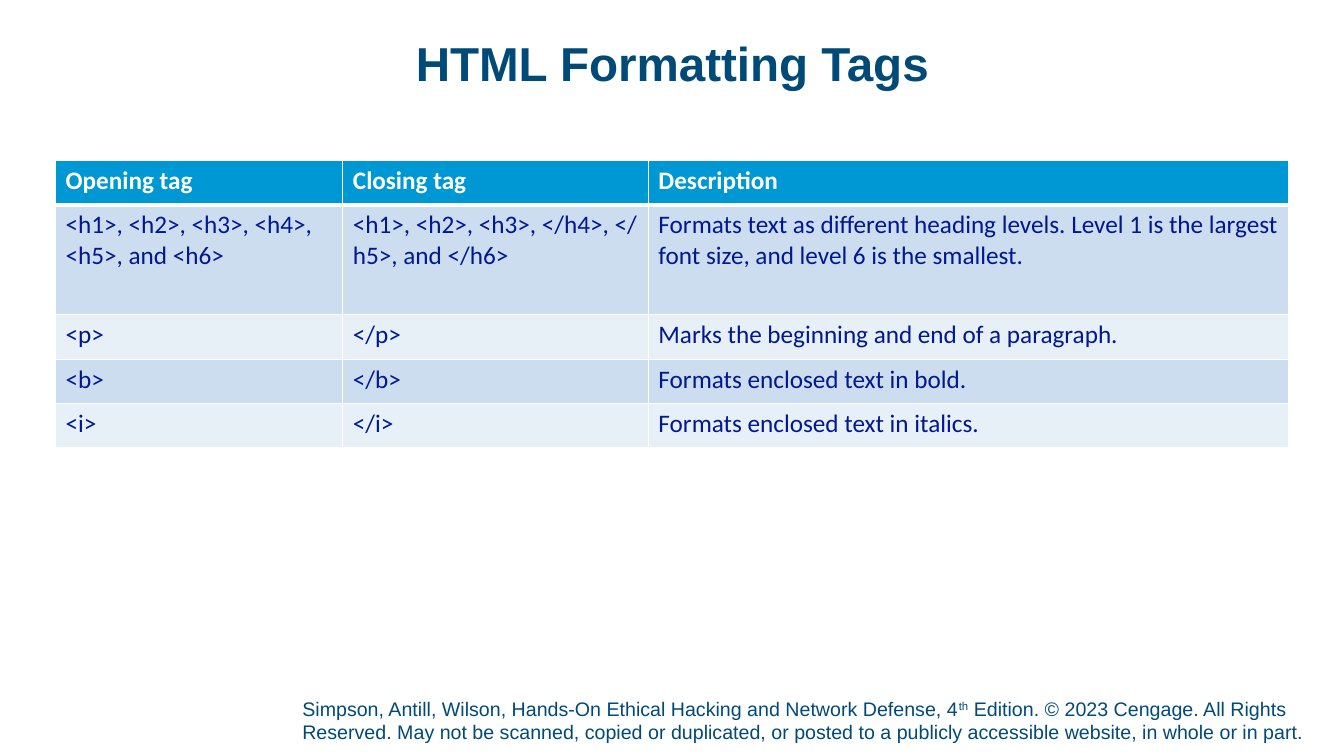
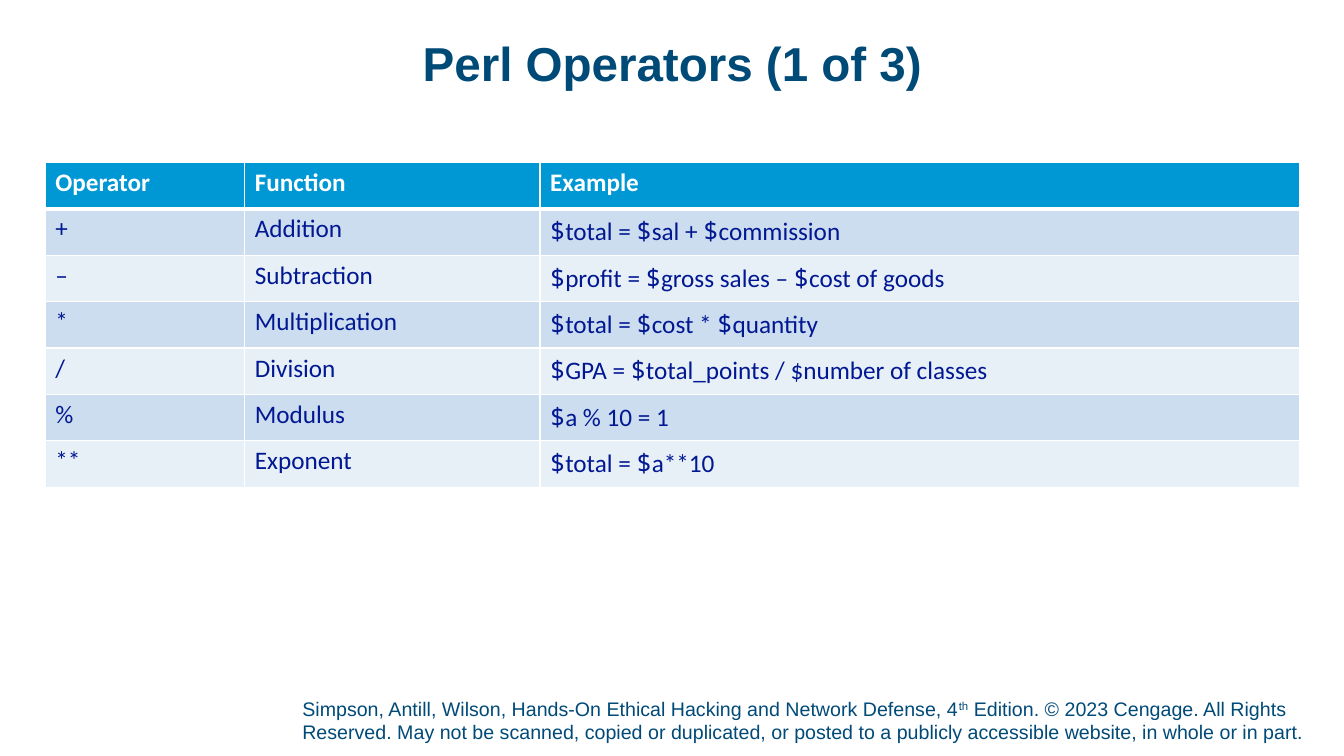
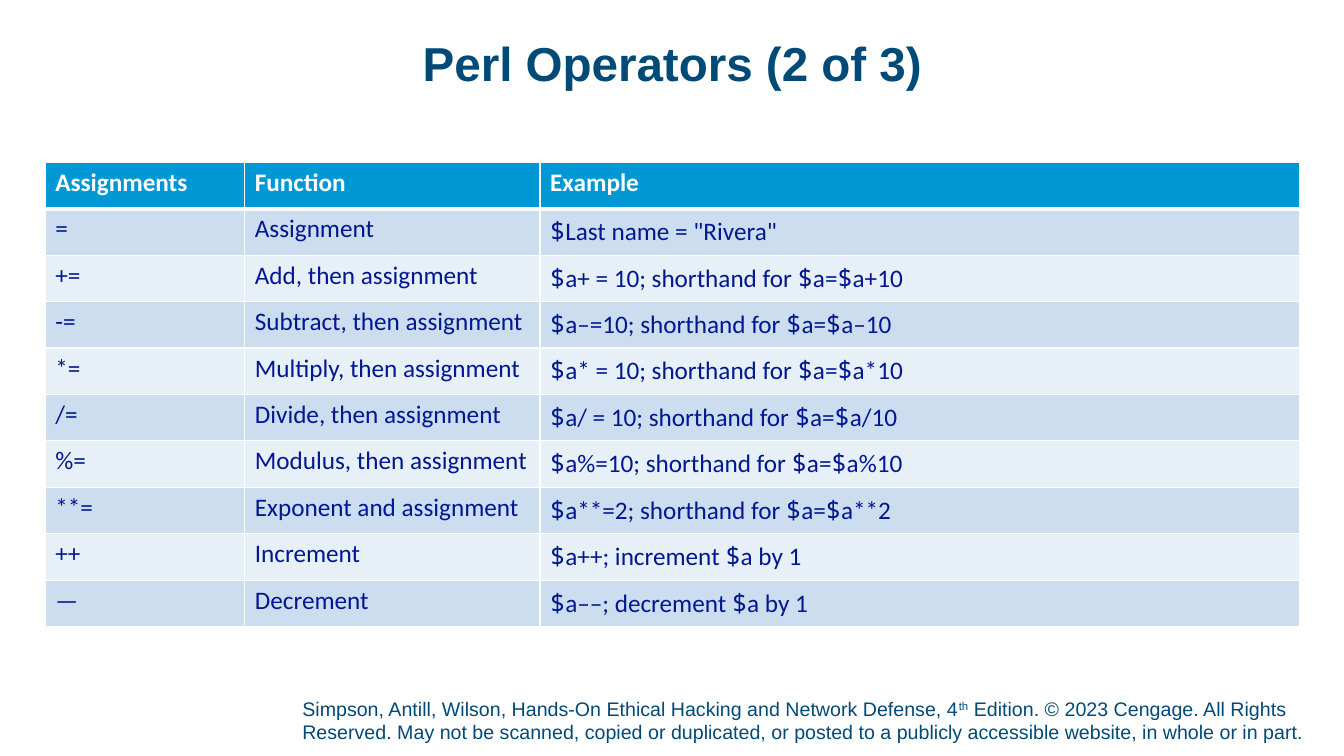
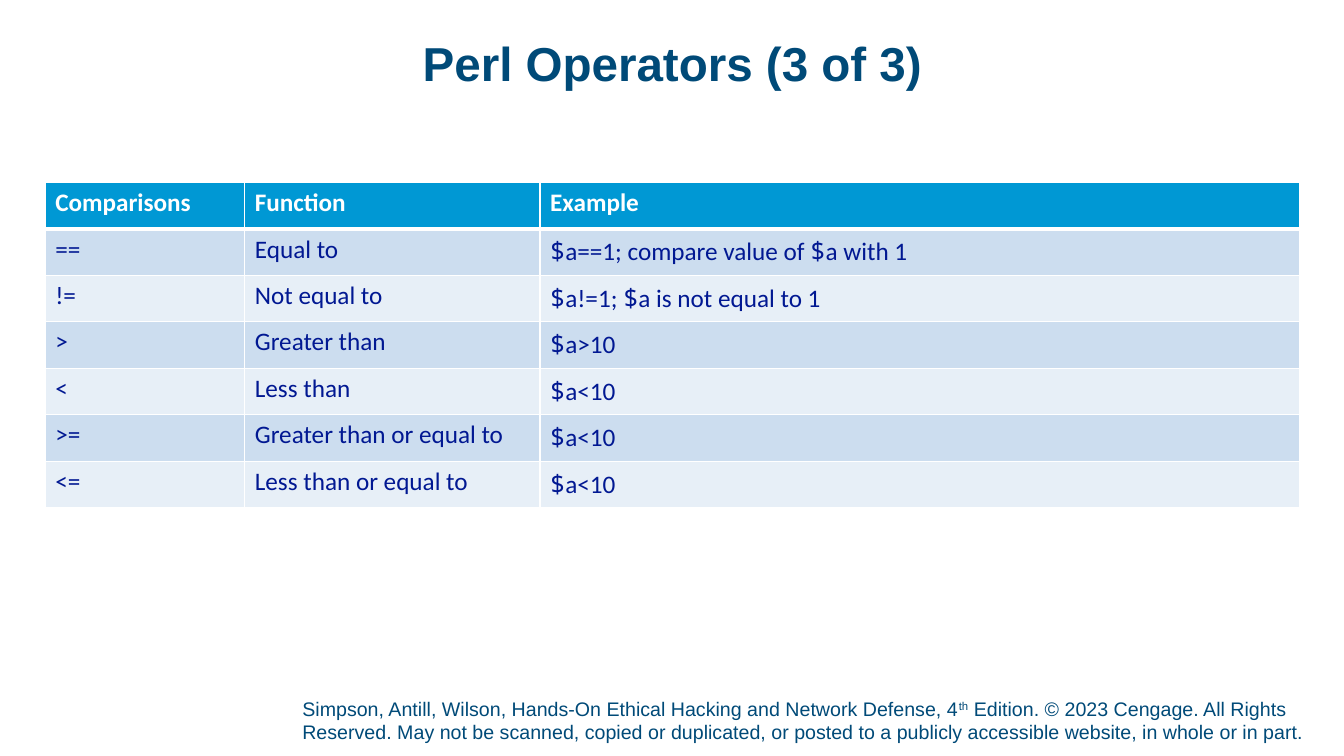
"""Build four slides of reference tables on HTML tags and Perl operators."""
from lxml.etree import SubElement
from pptx import Presentation
from pptx.dml.color import RGBColor
from pptx.enum.text import MSO_ANCHOR, MSO_AUTO_SIZE, PP_ALIGN
from pptx.oxml.ns import qn
from pptx.util import Cm, Pt

NAVY, BLUE, INK, WHITE = "004A78", "0098D4", "011892", "FFFFFF"
BANDS = ["E7EFF7", "CCDDEF"]
OPERATOR_COLUMNS = [5.03, 7.44, 19.13]
ROW_HEIGHT = 1.17


def style(font, size, name, colour, bold=False):
    font.size, font.name, font.bold = Pt(size), name, bold
    font.color.rgb = RGBColor.from_string(colour)


def add_borders(cell, top, bottom):
    properties = cell._tc.get_or_add_tcPr()
    for side, width in [("L", 1), ("R", 1), ("T", top), ("B", bottom)]:
        line = SubElement(properties, qn("a:ln" + side), w=str(Pt(width)))
        SubElement(SubElement(line, qn("a:solidFill")), qn("a:srgbClr"), val=WHITE)


# Each tuple lists the pieces of code that follow a dollar sign.
pages = [
    ("HTML Formatting Tags", 1.4, 4.04, [7.24, 7.7, 16.13], [1.12, 2.77, 1.12, 1.12, 1.12], [
        ("Opening tag", "Closing tag", "Description"),
        ("<h1>, <h2>, <h3>, <h4>,\n<h5>, and <h6>",
         "<h1>, <h2>, <h3>, </h4>, </\nh5>, and </h6>",
         "Formats text as different heading levels. Level 1 is the largest font size, "
         "and level 6 is the smallest."),
        ("<p>", "</p>", "Marks the beginning and end of a paragraph."),
        ("<b>", "</b>", "Formats enclosed text in bold."),
        ("<i>", "</i>", "Formats enclosed text in italics."),
    ]),
    ("Perl Operators (1 of 3)", 1.14, 4.09, OPERATOR_COLUMNS, [ROW_HEIGHT] * 7, [
        ("Operator", "Function", "Example"),
        ("+", "Addition", ("total = ", "sal + ", "commission")),
        ("–", "Subtraction", ("profit = ", "gross sales – ", "cost of goods")),
        ("*", "Multiplication", ("total = ", "cost * ", "quantity")),
        ("/", "Division", ("GPA = ", "total_points / $number of classes")),
        ("%", "Modulus", ("a % 10 = 1",)),
        ("**", "Exponent", ("total = ", "a**10")),
    ]),
    ("Perl Operators (2 of 3)", 1.14, 4.09, OPERATOR_COLUMNS, [ROW_HEIGHT] * 10, [
        ("Assignments", "Function", "Example"),
        ("=", "Assignment", ('Last name = "Rivera"',)),
        ("+=", "Add, then assignment", ("a+ = 10; shorthand for ", "a=", "a+10")),
        ("-=", "Subtract, then assignment", ("a–=10; shorthand for ", "a=", "a–10")),
        ("*=", "Multiply, then assignment", ("a* = 10; shorthand for ", "a=", "a*10")),
        ("/=", "Divide, then assignment", ("a/ = 10; shorthand for ", "a=", "a/10")),
        ("%=", "Modulus, then assignment", ("a%=10; shorthand for ", "a=", "a%10")),
        ("**=", "Exponent and assignment", ("a**=2; shorthand for ", "a=", "a**2")),
        ("++", "Increment", ("a++; increment ", "a by 1")),
        ("—", "Decrement", ("a––; decrement ", "a by 1")),
    ]),
    ("Perl Operators (3 of 3)", 1.14, 4.6, OPERATOR_COLUMNS, [ROW_HEIGHT] * 7, [
        ("Comparisons", "Function", "Example"),
        ("==", "Equal to", ("a==1; compare value of ", "a with 1")),
        ("!=", "Not equal to", ("a!=1; ", "a is not equal to 1")),
        (">", "Greater than", ("a>10",)),
        ("<", "Less than", ("a<10",)),
        (">=", "Greater than or equal to", ("a<10",)),
        ("<=", "Less than or equal to", ("a<10",)),
    ]),
]

deck = Presentation()
deck.slide_width, deck.slide_height = Cm(33.87), Cm(19.05)
layout = deck.slide_layouts[5]

for heading, left, top, widths, heights, rows in pages:
    slide = deck.slides.add_slide(layout)

    title = slide.shapes.title
    title.left, title.top, title.width, title.height = Cm(2.34), Cm(1.02), Cm(29.21), Cm(1.88)
    frame = title.text_frame
    frame.text = heading
    frame.auto_size, frame.vertical_anchor = MSO_AUTO_SIZE.NONE, MSO_ANCHOR.TOP
    frame.margin_left = frame.margin_top = frame.margin_right = frame.margin_bottom = 0
    paragraph = frame.paragraphs[0]
    paragraph.alignment, paragraph.line_spacing = PP_ALIGN.CENTER, 0.9
    style(paragraph.font, 34, "Arial", NAVY, bold=True)

    table = slide.shapes.add_table(len(rows), len(widths), Cm(left), Cm(top),
                                   Cm(sum(widths)), Cm(sum(heights))).table
    for column, width in zip(table.columns, widths):
        column.width = Cm(width)
    for row_number, (row, height, entries) in enumerate(zip(table.rows, heights, rows)):
        row.height = Cm(height)
        header = row_number == 0
        for cell, entry in zip(row.cells, entries):
            add_borders(cell, top=3 if row_number == 1 else 1, bottom=3 if header else 1)
            cell.fill.solid()
            cell.fill.fore_color.rgb = RGBColor.from_string(BLUE if header else BANDS[row_number % 2])
            if isinstance(entry, tuple):
                for code in entry:
                    dollar = cell.text_frame.paragraphs[0].add_run()
                    dollar.text = "$"
                    dollar.font.name = "Noto Sans Mono"
                    cell.text_frame.paragraphs[0].add_run().text = code
            else:
                cell.text_frame.text = entry
            for paragraph in cell.text_frame.paragraphs:
                style(paragraph.font, 18, "Calibri", WHITE if header else INK, bold=header)

copyright_box = slide.shapes.add_textbox(Cm(7.62), Cm(17.55), Cm(25.3), Cm(1.32))
frame = copyright_box.text_frame
frame.word_wrap, frame.vertical_anchor = True, MSO_ANCHOR.BOTTOM
frame.margin_left = frame.margin_top = frame.margin_right = 0
frame.margin_bottom = Cm(0.13)
paragraph = frame.paragraphs[0]
for words in ["Simpson, Antill, Wilson, Hands-On Ethical Hacking and Network Defense, 4", "th",
              " Edition. © 2023 Cengage. All Rights Reserved. May not be scanned, copied or duplicated, "
              "or posted to a publicly accessible website, in whole or in part."]:
    paragraph.add_run().text = words
paragraph.runs[1]._r.get_or_add_rPr().set("baseline", "30000")
style(paragraph.font, 14, "Arial", NAVY)
copyright_box.element.nvSpPr.cNvPr.set("id", "20")
layout.shapes.element.append(copyright_box.element)

deck.save("out.pptx")
